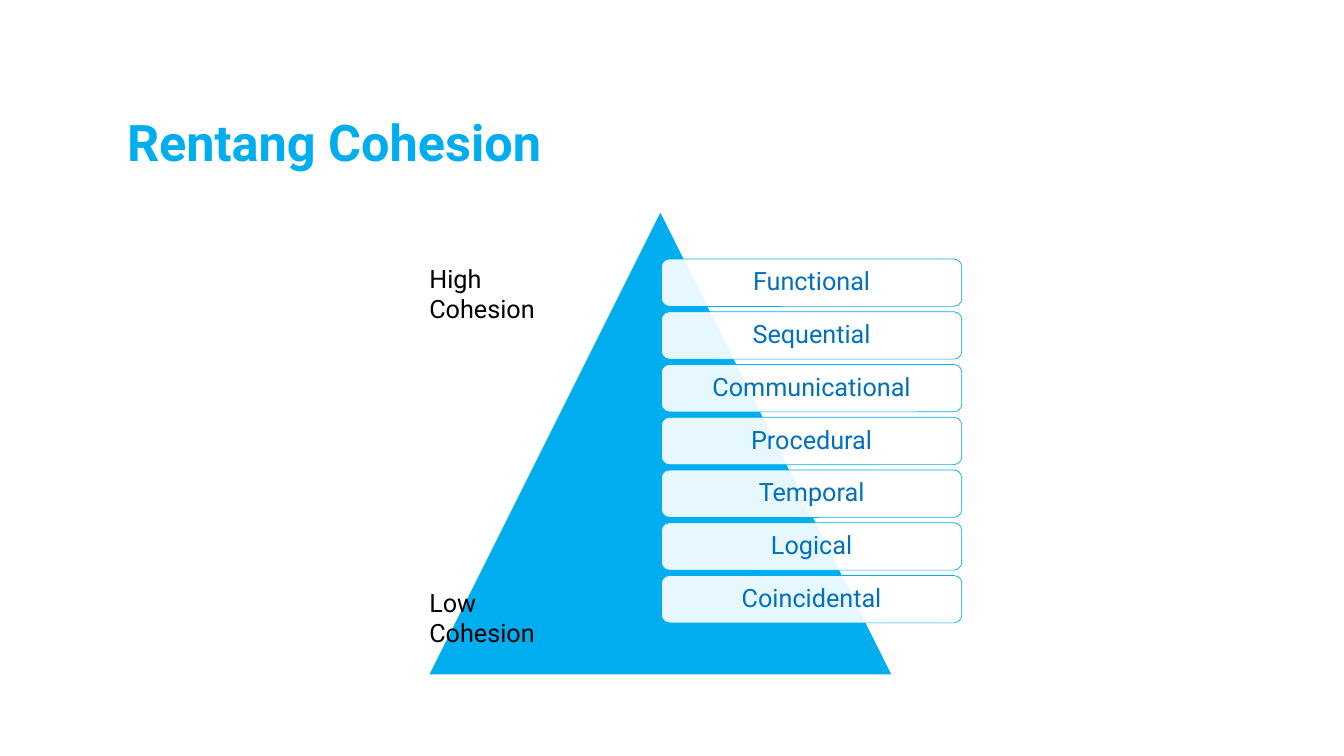
import pptx
import pptx.util
import pptx.dml.color
import pptx.enum.shapes
import pptx.enum.text
import pptx.oxml
import pptx.oxml.ns
from dataclasses import dataclass

Inches = pptx.util.Inches
Shape = pptx.enum.shapes.MSO_SHAPE
Align = pptx.enum.text.PP_ALIGN
Anchor = pptx.enum.text.MSO_ANCHOR

# Content
HEADING = "Rentang Cohesion"
LEVELS = ["Functional", "Sequential", "Communicational", "Procedural",
          "Temporal", "Logical", "Coincidental"]
RANGE_ENDS = [("High Cohesion", 2.56), ("Low Cohesion", 5.78)]


@dataclass(frozen=True)
class Theme:
    font: str = "Roboto"
    accent: str = "00AEEF"
    level_text: str = "0070C0"
    label_text: str = "000000"
    panel: str = "FFFFFF"
    panel_opacity: int = 90
    title_size: int = 36
    text_size: int = 18


THEME = Theme()

# Layout, in inches
LEVEL_LEFT, LEVEL_WIDTH, LEVEL_HEIGHT = 6.56, 2.98, 0.47
FIRST_LEVEL_TOP, LAST_LEVEL_TOP = 2.57, 5.71
LEVEL_STEP = (LAST_LEVEL_TOP - FIRST_LEVEL_TOP) / (len(LEVELS) - 1)


def rgb(value):
    return pptx.dml.color.RGBColor.from_string(value)


def write(shape, text, size, color, align, anchor, spacing=1.0, bold=False):
    frame = shape.text_frame
    frame.text = text
    frame.word_wrap = True
    frame.auto_size = pptx.enum.text.MSO_AUTO_SIZE.NONE
    frame.vertical_anchor = anchor
    paragraph = frame.paragraphs[0]
    paragraph.alignment = align
    paragraph.line_spacing = spacing
    font = paragraph.runs[0].font
    font.name, font.size, font.bold = THEME.font, pptx.util.Pt(size), bold
    font.color.rgb = rgb(color)


def add_filled(slide, kind, box, color):
    shape = slide.shapes.add_shape(kind, *map(Inches, box))
    shape.shadow.inherit = False
    shape.fill.solid()
    shape.fill.fore_color.rgb = rgb(color)
    return shape


def set_opacity(shape, percent):
    color = shape.fill._xPr.find(".//" + pptx.oxml.ns.qn("a:srgbClr"))
    alpha = pptx.oxml.parse_xml(
        f'<a:alpha {pptx.oxml.ns.nsdecls("a")} val="{percent * 1000}"/>')
    color.append(alpha)


def add_level(slide, index, name):
    top = FIRST_LEVEL_TOP + index * LEVEL_STEP
    level = add_filled(slide, Shape.ROUNDED_RECTANGLE,
                       (LEVEL_LEFT, top, LEVEL_WIDTH, LEVEL_HEIGHT), THEME.panel)
    set_opacity(level, THEME.panel_opacity)
    level.line.color.rgb = rgb(THEME.accent)
    level.line.width = pptx.util.Pt(0.5)
    write(level, name, THEME.text_size, THEME.level_text,
          Align.CENTER, Anchor.MIDDLE, spacing=0.9)


def main():
    deck = pptx.Presentation()
    deck.slide_width, deck.slide_height = Inches(13.33), Inches(7.5)
    slide = deck.slides.add_slide(deck.slide_layouts[5])

    # Title
    title = slide.shapes.title
    title.left, title.top = Inches(1.16), Inches(0.58)
    title.width, title.height = Inches(9.5), Inches(1.17)
    write(title, HEADING, THEME.title_size, THEME.accent,
          Align.LEFT, Anchor.BOTTOM, spacing=0.8, bold=True)

    # Pyramid with its levels
    pyramid = add_filled(slide, Shape.ISOSCELES_TRIANGLE,
                         (4.26, 2.11, 4.58, 4.58), THEME.accent)
    pyramid.line.fill.background()
    for index, name in enumerate(LEVELS):
        add_level(slide, index, name)

    # Ends of the range
    for text, top in RANGE_ENDS:
        label = slide.shapes.add_textbox(*map(Inches, (4.16, top, 1.4, 0.7)))
        write(label, text, THEME.text_size, THEME.label_text, Align.LEFT, Anchor.TOP)

    deck.save("out.pptx")


if __name__ == "__main__":
    main()
